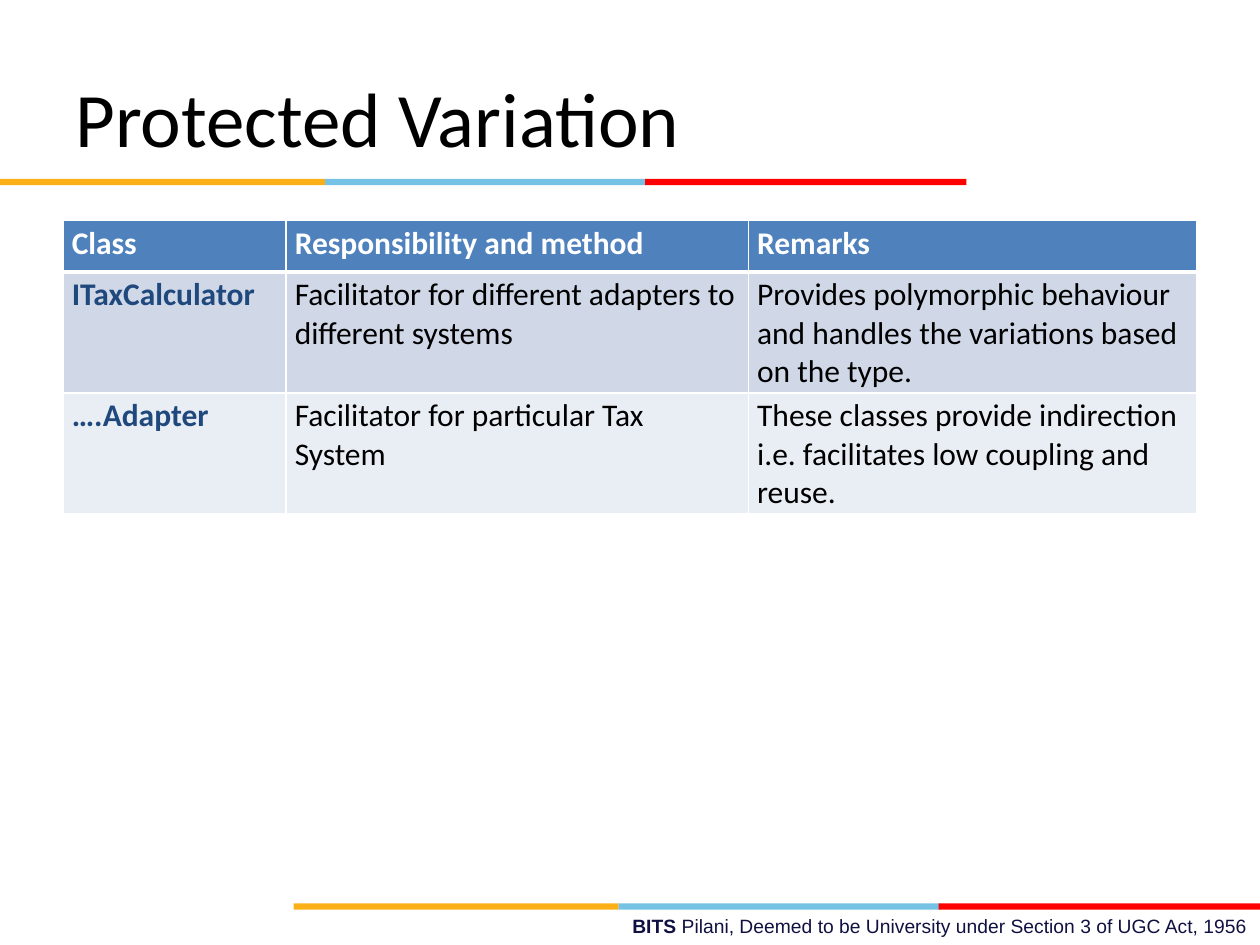
from lxml.etree import SubElement
from pptx import Presentation
from pptx.dml.color import RGBColor
from pptx.enum.shapes import MSO_SHAPE as Shape
from pptx.enum.text import MSO_ANCHOR as Anchor, PP_ALIGN as Align
from pptx.oxml.ns import qn
from pptx.util import Inches, Pt

BLACK = RGBColor(0x00, 0x00, 0x00)
WHITE = RGBColor(0xFF, 0xFF, 0xFF)
NAVY = RGBColor(0x10, 0x11, 0x41)
CLASS_BLUE = RGBColor(0x1F, 0x49, 0x7D)
HEADER_BLUE = RGBColor(0x4F, 0x81, 0xBD)
BANDS = (RGBColor(0xD0, 0xD8, 0xE8), RGBColor(0xE9, 0xED, 0xF4))
YELLOW = RGBColor(0xFC, 0xB0, 0x17)
SKY = RGBColor(0x76, 0xC2, 0xE5)
RED = RGBColor(0xFF, 0x00, 0x00)

STRIPES = ((0, 2.58, YELLOW), (2.58, 2.55, SKY), (5.12, 2.55, RED))
COLUMN_WIDTHS = (1.77, 3.67, 3.56)
ROW_HEIGHTS = (0.41, 0.95, 0.95)
ROWS = (
    ("Class", "Responsibility and method", "Remarks"),
    ("ITaxCalculator",
     "Facilitator for different adapters to different systems",
     "Provides polymorphic behaviour and handles the variations based on the type."),
    ("….Adapter",
     "Facilitator for particular Tax System",
     "These classes provide indirection i.e. facilitates low coupling and reuse."),
)


class SlideBuilder:
    def __init__(self, slide, body_font="Calibri", footer_font="Arial"):
        self.slide = slide
        self.body_font = body_font
        self.footer_font = footer_font

    def style(self, font, name, size, color, bold=False):
        font.name, font.size, font.bold = name, Pt(size), bold
        font.color.rgb = color

    def title(self, text):
        title = self.slide.shapes.title
        title.left, title.top = Inches(0.5), Inches(0.3)
        title.width, title.height = Inches(9), Inches(1.25)
        frame = title.text_frame
        frame.text = text
        frame.vertical_anchor = Anchor.MIDDLE
        paragraph = frame.paragraphs[0]
        paragraph.alignment = Align.LEFT
        self.style(paragraph.runs[0].font, self.body_font, 44, BLACK)

    def stripe(self, left, top):
        """Draw the three-coloured rule as one group."""
        group = self.slide.shapes.add_group_shape()
        for offset, width, color in STRIPES:
            bar = group.shapes.add_shape(
                Shape.RECTANGLE, Inches(left + offset), Inches(top),
                Inches(width), Inches(0.05))
            bar.shadow.inherit = False
            bar.fill.solid()
            bar.fill.fore_color.rgb = color
            bar.line.fill.background()

    def footer(self, *parts):
        """Write right-aligned (text, bold) parts at the slide's foot."""
        box = self.slide.shapes.add_textbox(
            Inches(3.58), Inches(7.21), Inches(6.42), Inches(0.29))
        box.text_frame.word_wrap = True
        paragraph = box.text_frame.paragraphs[0]
        paragraph.alignment = Align.RIGHT
        for text, bold in parts:
            run = paragraph.add_run()
            run.text = text
            self.style(run.font, self.footer_font, 11, NAVY, bold)

    def border(self, cell, side, width):
        properties = cell._tc.get_or_add_tcPr()
        line = SubElement(properties, qn(f"a:ln{side}"), w=str(Pt(width)))
        fill = SubElement(line, qn("a:solidFill"))
        SubElement(fill, qn("a:srgbClr"), val=str(WHITE))

    def cell(self, cell, text, fill, color, bold, top_border, bottom_border):
        cell.margin_left = cell.margin_right = Inches(0.07)
        cell.margin_top = cell.margin_bottom = Inches(0.03)
        for side, width in zip("LRTB", (1, 1, top_border, bottom_border)):
            self.border(cell, side, width)
        cell.fill.solid()
        cell.fill.fore_color.rgb = fill
        cell.text_frame.text = text
        run = cell.text_frame.paragraphs[0].runs[0]
        self.style(run.font, self.body_font, 18, color, bold)

    def table(self, rows):
        table = self.slide.shapes.add_table(
            len(rows), len(COLUMN_WIDTHS), Inches(0.5), Inches(1.75),
            Inches(sum(COLUMN_WIDTHS)), Inches(sum(ROW_HEIGHTS))).table
        for column, width in zip(table.columns, COLUMN_WIDTHS):
            column.width = Inches(width)
        for i, texts in enumerate(rows):
            table.rows[i].height = Inches(ROW_HEIGHTS[i])
            header = i == 0
            fill = HEADER_BLUE if header else BANDS[(i - 1) % 2]
            for j, text in enumerate(texts):
                first = j == 0
                color = WHITE if header else CLASS_BLUE if first else BLACK
                self.cell(table.cell(i, j), text, fill, color, header or first,
                          top_border=3 if i == 1 else 1,
                          bottom_border=3 if header else 1)


def main():
    presentation = Presentation()
    presentation.slide_width, presentation.slide_height = Inches(10), Inches(7.5)
    title_only = presentation.slide_layouts[5]
    builder = SlideBuilder(presentation.slides.add_slide(title_only))
    builder.footer(
        ("BITS ", True),
        ("Pilani, Deemed to be University under Section 3 of UGC Act, 1956", False))
    builder.stripe(2.33, 7.17)
    builder.stripe(0, 1.42)
    builder.title("Protected Variation")
    builder.table(ROWS)
    presentation.save("out.pptx")


if __name__ == "__main__":
    main()
